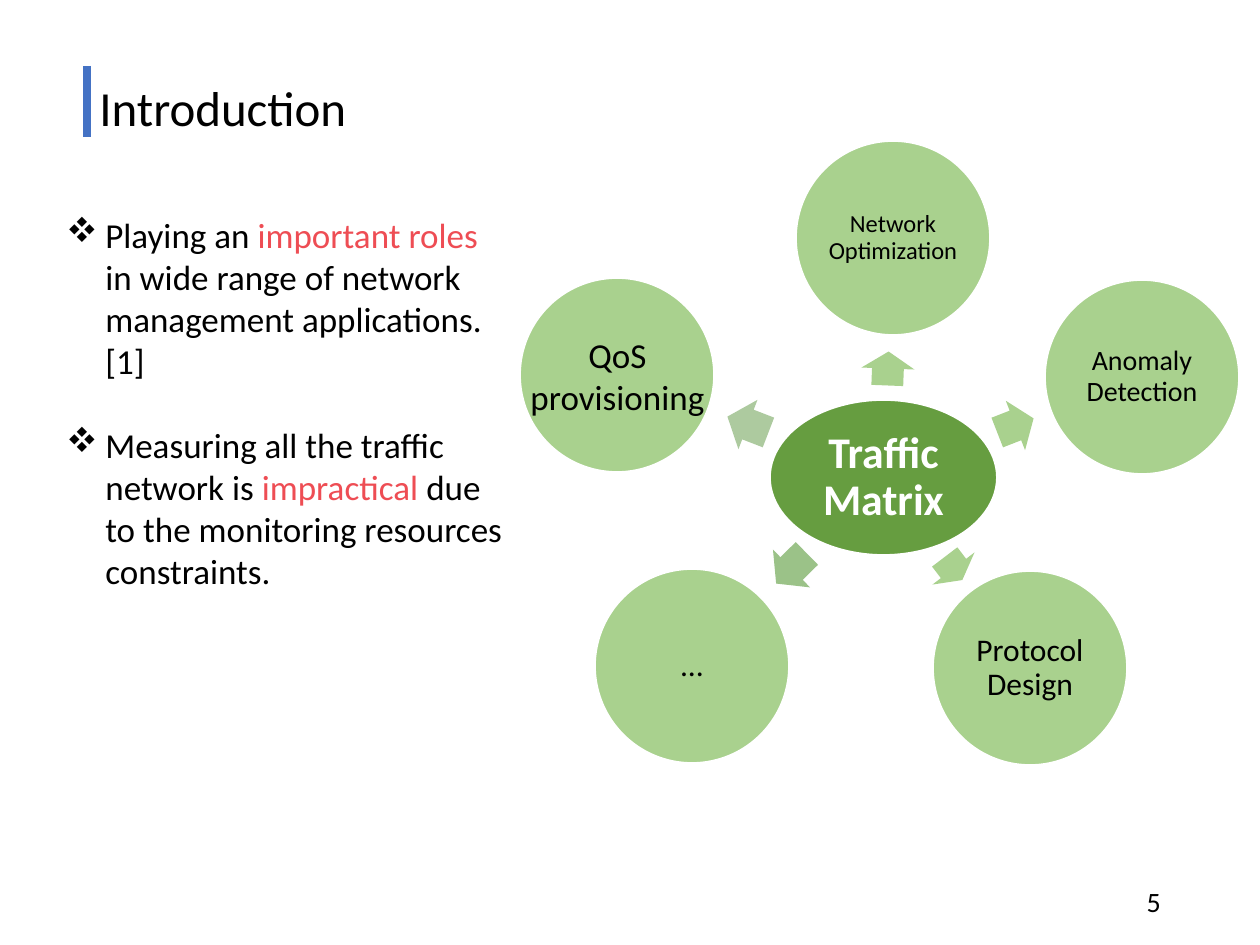
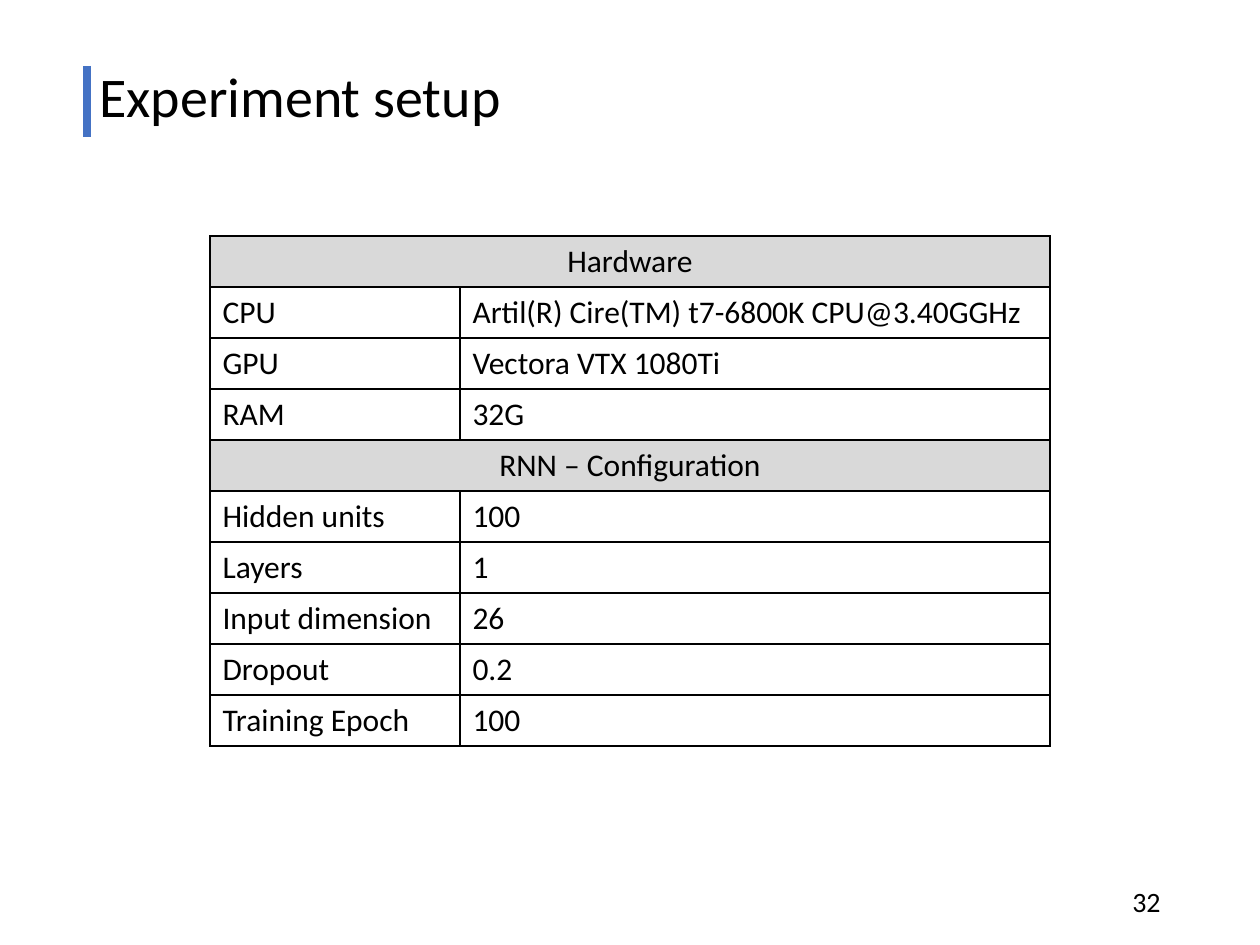
from lxml.etree import SubElement as Sub
from pptx import Presentation
from pptx.dml.color import RGBColor as Rgb
from pptx.enum.shapes import MSO_CONNECTOR as Conn, MSO_SHAPE as Kind
from pptx.enum.text import MSO_ANCHOR as Anchor, PP_ALIGN as Align
from pptx.oxml.ns import qn
from pptx.util import Emu, Pt

FONT = "Calibri"
BLACK, WHITE, BLUE, RED = "000000", "FFFFFF", "4472C4", "EE4D54"
GREEN, LEAF, GREY = "669D40", "A9D18E", "D9D9D9"
SCALE = 914400 / 126

# title, size, top of the title box, page number
INTRO = ("Introduction", 28, 50, "5")
SETUP = ("Experiment setup", 32, 39, "32")

# each point is a list of (text, colour)
POINTS = [
    [("Playing an ", BLACK), ("important roles ", RED),
     ("in wide range of network management applications. [1]", BLACK)],
    [("Measuring all the traffic network is ", BLACK), ("impractical ", RED),
     ("due to the monitoring resources constraints.", BLACK)],
]
INDENT = 39

HUB = ("Traffic Matrix", (770, 400, 227, 155))
DISC = 194
# text, font size, left, top
USES = [
    ("Network Optimization", 14, 796, 141),
    ("Anomaly Detection", 16, 1045, 280),
    ("Protocol Design", 18, 933, 571),
    ("...", 18, 595, 569),
    ("", 20, 520, 278),
]
WIDE_USE = ("QoS provisioning", (516, 327, 203, 97))
# left, top, length, rotation, colour
ARROWS = [
    (871, 342, 34, 272.2, LEAF),
    (996, 399, 39, 338.7, LEAF),
    (939, 542, 29, 52.6, LEAF),
    (770, 542, 43, 135.5, "9BC288"),
    (726, 398, 44, 201.1, "ADCA9F"),
]
ARROW_H = 53

# a row with one entry is a heading over both columns
ROWS = [
    ("Hardware",),
    ("CPU", "Artil(R) Cire(TM) t7-6800K CPU@3.40GGHz"),
    ("GPU", "Vectora VTX 1080Ti"),
    ("RAM", "32G"),
    ("RNN – Configuration",),
    ("Hidden units", "100"),
    ("Layers", "1"),
    ("Input dimension", "26"),
    ("Dropout", "0.2"),
    ("Training Epoch", "100"),
]
COLS, ROW_H = (250, 590), 51


def px(n):
    return Emu(round(n * SCALE))


def rgb(code):
    return Rgb.from_string(code)


def style(par, size, color=BLACK, align=Align.LEFT, bold=False, lead=None):
    font = par.font
    font.name, font.size, font.bold = FONT, Pt(size), bold
    font.color.rgb = rgb(color)
    par.alignment = align
    if lead:
        par.line_spacing = lead


def add_box(slide, at, text="", size=20, anchor=Anchor.TOP, **look):
    frame = slide.shapes.add_textbox(*map(px, at)).text_frame
    frame.word_wrap, frame.vertical_anchor = True, anchor
    frame.text = text
    style(frame.paragraphs[0], size, **look)
    return frame


def add_shape(slide, kind, at, fill, line=None):
    shape = slide.shapes.add_shape(kind, *map(px, at))
    shape.shadow.inherit = False
    shape.fill.solid()
    shape.fill.fore_color.rgb = rgb(fill)
    if line:
        shape.line.color.rgb, shape.line.width = rgb(line), Pt(1)
    else:
        shape.line.fill.background()
    return shape


def add_oval(slide, at, fill, text, size, **look):
    frame = add_shape(slide, Kind.OVAL, at, fill, WHITE).text_frame
    frame.margin_left = frame.margin_right = px(3)
    frame.margin_top = frame.margin_bottom = px(3)
    frame.word_wrap, frame.vertical_anchor = True, Anchor.MIDDLE
    frame.text = text
    style(frame.paragraphs[0], size, align=Align.CENTER, lead=0.9, **look)


def new_slide(deck, title, size, top, page):
    slide = deck.slides.add_slide(deck.slide_layouts[6])
    add_box(slide, (87, top, 1086, 121), title, size, Anchor.MIDDLE, lead=0.9)
    add_box(slide, (890, 876, 283, 50), page, 16, Anchor.MIDDLE,
            align=Align.RIGHT)
    bar = slide.shapes.add_connector(Conn.STRAIGHT, px(87), px(66),
                                     px(87), px(137))
    bar.line.color.rgb, bar.line.width = rgb(BLUE), Pt(4.5)
    Sub(bar._element.spPr, qn("a:effectLst"))
    return slide


def add_bullet(par):
    """Hang a diamond, Wingdings "v", before the paragraph."""
    props = par._p.get_or_add_pPr()
    props.set("marL", str(px(INDENT)))
    props.set("indent", str(-px(INDENT)))
    font = Sub(props, qn("a:buFont"), typeface="Wingdings")
    mark = Sub(props, qn("a:buChar"), char="v")
    base = props.find(qn("a:defRPr"))
    base.addprevious(font)
    base.addprevious(mark)


def add_points(slide):
    frame = add_box(slide, (54, 207, 464, 437))
    for i, point in enumerate(POINTS):
        par = frame.add_paragraph() if i else frame.paragraphs[0]
        style(par, 20)
        par.space_before = Pt(24 if i else 0)
        add_bullet(par)
        for text, color in point:
            run = par.add_run()
            run.text = text
            run.font.color.rgb = rgb(color)
            # the bullet takes its size from the first run
            run.font.size = Pt(20)


def add_wheel(slide):
    text, at = HUB
    add_oval(slide, at, GREEN, text, 25, color=WHITE, bold=True)
    for left, top, length, turn, color in ARROWS:
        arrow = add_shape(slide, Kind.RIGHT_ARROW,
                          (left, top, length, ARROW_H), color)
        arrow.adjustments[0] = 0.6
        arrow.rotation = turn
    for text, size, left, top in USES:
        add_oval(slide, (left, top, DISC, DISC), LEAF, text, size)
    text, at = WIDE_USE
    add_box(slide, at, text, align=Align.CENTER)


def add_edges(cell):
    props = cell._tc.get_or_add_tcPr()
    for side in ("lnL", "lnR", "lnT", "lnB"):
        edge = Sub(props, qn(f"a:{side}"), w=str(Pt(1)))
        Sub(Sub(edge, qn("a:solidFill")), qn("a:srgbClr"), val=BLACK)


def add_grid(slide):
    at = (210, 236, sum(COLS), ROW_H * len(ROWS))
    grid = slide.shapes.add_table(len(ROWS), len(COLS), *map(px, at)).table
    grid.first_row = grid.horz_banding = False
    for col, width in zip(grid.columns, COLS):
        col.width = px(width)
    for r, row in enumerate(ROWS):
        grid.rows[r].height = px(ROW_H)
        head = len(row) == 1
        for c in range(len(COLS)):
            cell = grid.cell(r, c)
            add_edges(cell)
            cell.fill.solid()
            cell.fill.fore_color.rgb = rgb(GREY if head else WHITE)
            if c < len(row):
                cell.text = row[c]
                style(cell.text_frame.paragraphs[0], 18,
                      align=Align.CENTER if head else Align.LEFT)
        if head:
            grid.cell(r, 0).merge(grid.cell(r, 1))


def main():
    deck = Presentation()
    deck.slide_width, deck.slide_height = px(1260), px(945)
    intro = new_slide(deck, *INTRO)
    add_wheel(intro)
    add_points(intro)
    add_grid(new_slide(deck, *SETUP))
    deck.save("out.pptx")


if __name__ == "__main__":
    main()
